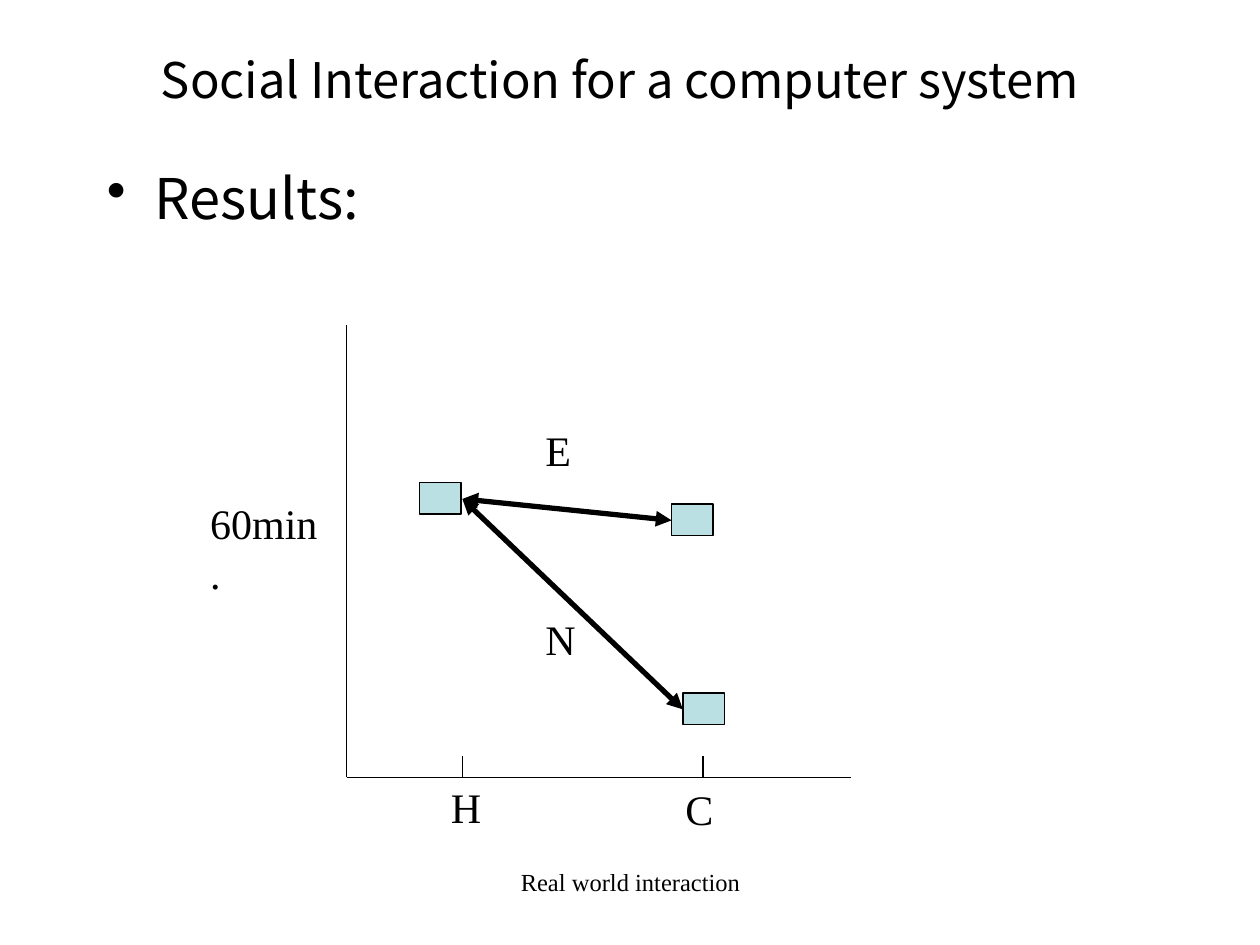
import pptx
import pptx.dml.color
import pptx.enum.shapes
import pptx.enum.text
import pptx.oxml
import pptx.oxml.ns
import pptx.util

Inches = pptx.util.Inches
Pt = pptx.util.Pt
Align = pptx.enum.text.PP_ALIGN
Anchor = pptx.enum.text.MSO_ANCHOR


def color(value):
    return pptx.dml.color.RGBColor.from_string(value)


def add_element(parent, tag, **attributes):
    element = pptx.oxml.parse_xml(f"<a:{tag} {pptx.oxml.ns.nsdecls('a')}/>")
    for name, value in attributes.items():
        element.set(name, value)
    parent.append(element)


class SlideBuilder:
    heading_font = "Noto Sans CJK JP"
    label_font = "Times New Roman"
    ink = "000000"
    marker_fill = "BBE0E3"
    marker_size = (0.33, 0.25)

    def __init__(self, page):
        self.page = page

    def text(self, words, left, top, width, height, size=24, font=label_font,
             align=Align.LEFT, anchor=Anchor.TOP, wrap=False, bullet=False):
        box = self.page.shapes.add_textbox(
            Inches(left), Inches(top), Inches(width), Inches(height))
        frame = box.text_frame
        frame.word_wrap = wrap
        frame.vertical_anchor = anchor
        para = frame.paragraphs[0]
        para.alignment = align
        if bullet:
            properties = para._p.get_or_add_pPr()
            properties.set("marL", str(Inches(0.38)))
            properties.set("indent", str(-Inches(0.38)))
            add_element(properties, "buChar", char="•")
        span = para.add_run()
        span.text = words
        span.font.size = Pt(size)
        span.font.name = font
        span.font.color.rgb = color(self.ink)

    def line(self, start, end, width=0.75, arrows=False):
        connector = self.page.shapes.add_connector(
            pptx.enum.shapes.MSO_CONNECTOR.STRAIGHT,
            *(Inches(value) for value in (*start, *end)))
        connector.line.width = Pt(width)
        connector.line.color.rgb = color(self.ink)
        if arrows:
            outline = connector.line._get_or_add_ln()
            for tag in ("headEnd", "tailEnd"):
                add_element(outline, tag, type="triangle")
        add_element(connector._element.spPr, "effectLst")

    def marker(self, left, top):
        width, height = self.marker_size
        box = self.page.shapes.add_shape(
            pptx.enum.shapes.MSO_SHAPE.RECTANGLE,
            Inches(left), Inches(top), Inches(width), Inches(height))
        box.shadow.inherit = False
        box.fill.solid()
        box.fill.fore_color.rgb = color(self.marker_fill)
        box.line.color.rgb = color(self.ink)
        box.line.width = Pt(0.75)


def main():
    deck = pptx.Presentation()
    deck.slide_width = Inches(10)
    deck.slide_height = Inches(7.5)
    builder = SlideBuilder(deck.slides.add_slide(deck.slide_layouts[6]))

    builder.text("Social Interaction for a computer system", 0.67, 0, 8.5, 1.25,
                 size=28, font=builder.heading_font, align=Align.CENTER,
                 anchor=Anchor.MIDDLE, wrap=True)
    builder.text("Results:", 0.75, 1.25, 8.5, 5.42, size=32,
                 font=builder.heading_font, wrap=True, bullet=True)

    origin = (2.75, 6.17)
    builder.line(origin, (6.75, 6.17))
    builder.line(origin, (2.75, 2.58))
    for tick in (3.67, 5.58):
        builder.line((tick, 6), (tick, 6.17))

    for left, top in ((3.33, 3.83), (5.33, 4), (5.42, 5.5)):
        builder.marker(left, top)
    for end in ((5.33, 4.13), (5.42, 5.63)):
        builder.line((3.67, 3.96), end, width=3, arrows=True)

    labels = (
        ("60min.", 1.57, 3.9, 1.13),
        ("H", 3.48, 6.15, 0.44),
        ("C", 5.34, 6.17, 0.42),
        ("E", 4.23, 3.32, 0.4),
        ("N", 4.23, 4.82, 0.44),
    )
    for words, left, top, width in labels:
        builder.text(words, left, top, width, 0.5)
    builder.text("Real world interaction", 3.42, 6.83, 3.17, 0.5, size=14,
                 align=Align.CENTER, wrap=True)

    deck.save("out.pptx")


if __name__ == "__main__":
    main()
